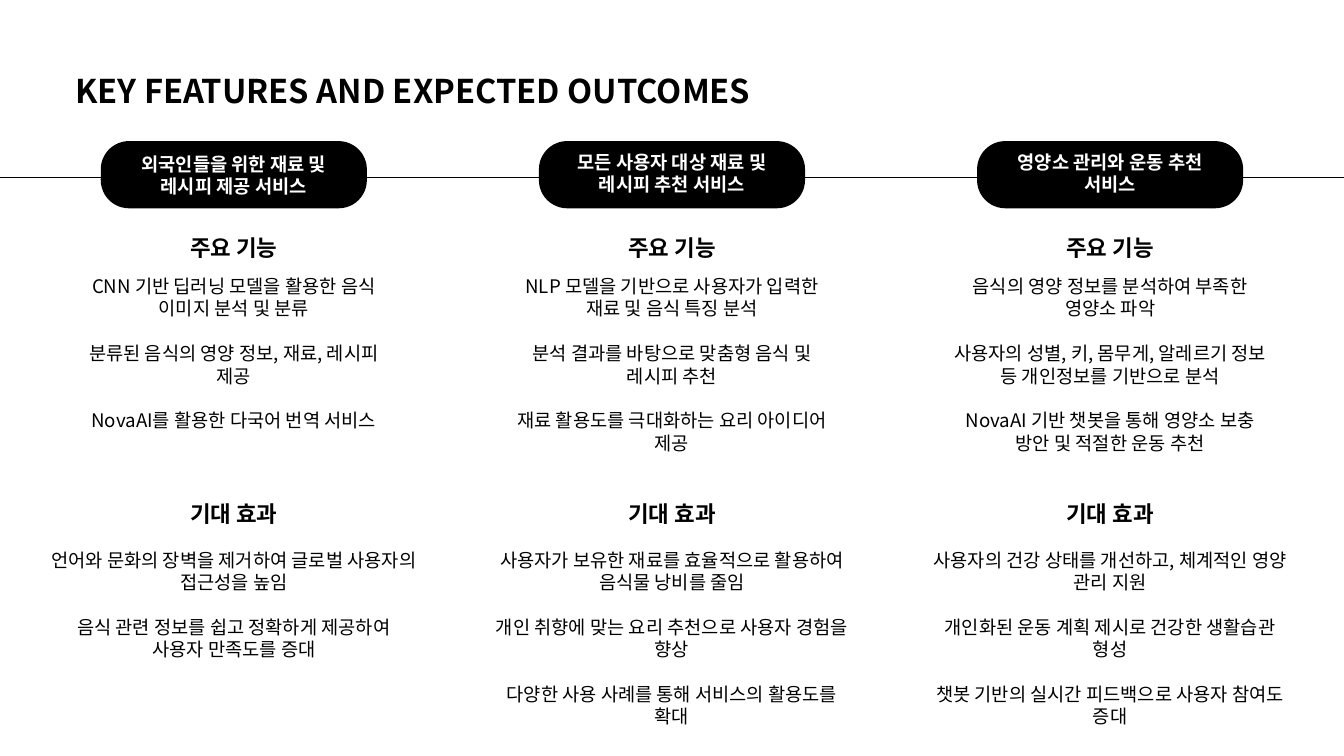
from lxml.etree import SubElement
from pptx import Presentation
from pptx.dml.color import RGBColor
from pptx.enum.shapes import MSO_CONNECTOR, MSO_SHAPE
from pptx.enum.text import MSO_ANCHOR, PP_ALIGN
from pptx.oxml.ns import qn
from pptx.util import Inches, Pt

BLACK = RGBColor(0x00, 0x00, 0x00)
WHITE = RGBColor(0xFF, 0xFF, 0xFF)
FONT = "Noto Sans CJK SC"
LINE_HEIGHT = 1.2

# Column grid: centre of the first column and distance to the next
FIRST_CENTER, COLUMN_STEP = 3.48, 6.52

# Per column: service name, top of its label, main features, expected effects
COLUMNS = [
    (
        "외국인들을 위한 재료 및 레시피 제공 서비스", 2.27,
        ["CNN 기반 딥러닝 모델을 활용한 음식 이미지 분석 및 분류",
         "분류된 음식의 영양 정보, 재료, 레시피 제공",
         "NovaAI를 활용한 다국어 번역 서비스"],
        ["언어와 문화의 장벽을 제거하여 글로벌 사용자의 접근성을 높임",
         "음식 관련 정보를 쉽고 정확하게 제공하여 사용자 만족도를 증대"],
    ),
    (
        "모든 사용자 대상 재료 및 레시피 추천 서비스", 2.24,
        ["NLP 모델을 기반으로 사용자가 입력한 재료 및 음식 특징 분석",
         "분석 결과를 바탕으로 맞춤형 음식 및 레시피 추천",
         "재료 활용도를 극대화하는 요리 아이디어 제공"],
        ["사용자가 보유한 재료를 효율적으로 활용하여 음식물 낭비를 줄임",
         "개인 취향에 맞는 요리 추천으로 사용자 경험을 향상",
         "다양한 사용 사례를 통해 서비스의 활용도를 확대"],
    ),
    (
        "영양소 관리와 운동 추천 서비스", 2.24,
        ["음식의 영양 정보를 분석하여 부족한 영양소 파악",
         "사용자의 성별, 키, 몸무게, 알레르기 정보 등 개인정보를 기반으로 분석",
         "NovaAI 기반 챗봇을 통해 영양소 보충 방안 및 적절한 운동 추천"],
        ["사용자의 건강 상태를 개선하고, 체계적인 영양 관리 지원",
         "개인화된 운동 계획 제시로 건강한 생활습관 형성",
         "챗봇 기반의 실시간 피드백으로 사용자 참여도 증대"],
    ),
]


class SlideBuilder:
    """Holds the slide and draws elements in its style."""

    def __init__(self, slide):
        self.slide = slide

    def rule(self, left, right, top):
        connector = self.slide.shapes.add_connector(
            MSO_CONNECTOR.STRAIGHT,
            Inches(left), Inches(top), Inches(right), Inches(top))
        connector.line.color.rgb = BLACK
        connector.line.width = Pt(0.75)
        SubElement(connector.element.spPr, qn("a:effectLst"))

    def pill(self, center, top, width, height):
        shape = self.slide.shapes.add_shape(
            MSO_SHAPE.ROUNDED_RECTANGLE, Inches(center - width / 2),
            Inches(top), Inches(width), Inches(height))
        shape.adjustments[0] = 0.42
        shape.shadow.inherit = False
        shape.fill.solid()
        shape.fill.fore_color.rgb = BLACK
        shape.line.fill.background()

    def text(self, paragraphs, left, top, width, height, size=20, bold=False,
             color=BLACK, align=PP_ALIGN.CENTER, anchor=MSO_ANCHOR.TOP):
        box = self.slide.shapes.add_textbox(
            Inches(left), Inches(top), Inches(width), Inches(height))
        frame = box.text_frame
        frame.word_wrap = True
        frame.vertical_anchor = anchor
        frame.margin_left = frame.margin_right = 0
        frame.margin_top = frame.margin_bottom = 0
        line_spacing = Pt(size * LINE_HEIGHT)
        for index, content in enumerate(paragraphs):
            paragraph = frame.paragraphs[0] if index == 0 else frame.add_paragraph()
            paragraph.text = content
            paragraph.alignment = align
            paragraph.line_spacing = line_spacing
            if index:
                paragraph.space_before = line_spacing
            font = paragraph.font
            font.name, font.size, font.bold = FONT, Pt(size), bold
            font.color.rgb = color
            # Korean text takes the East Asian typeface
            properties = paragraph._p.pPr.find(qn("a:defRPr"))
            SubElement(properties, qn("a:ea")).set("typeface", FONT)

    def centered_text(self, paragraphs, center, top, width, height, **style):
        self.text(paragraphs, center - width / 2, top, width, height, **style)

    def heading(self, content, center, top):
        self.centered_text([content], center, top, 1.36, 0.4, size=24, bold=True)


def main():
    presentation = Presentation()
    presentation.slide_width = Inches(20)
    presentation.slide_height = Inches(11.25)
    slide = presentation.slides.add_slide(presentation.slide_layouts[6])
    builder = SlideBuilder(slide)

    # Title and the rule behind the service names
    builder.rule(0, 20, 2.64)
    builder.text(["KEY FEATURES AND EXPECTED OUTCOMES"], 1.12, 1.06, 14.54, 0.59,
                 size=35, bold=True, align=PP_ALIGN.LEFT)

    # Service columns
    for index, (service, label_top, features, effects) in enumerate(COLUMNS):
        center = FIRST_CENTER + index * COLUMN_STEP
        builder.pill(center, 2.1, 3.96, 1)
        builder.centered_text([service], center, label_top, 3.01, 0.67, bold=True,
                              color=WHITE, anchor=MSO_ANCHOR.MIDDLE)
        builder.heading("주요 기능", center, 3.48)
        builder.centered_text(features, center, 4.09, 4.81, 2.69)
        builder.heading("기대 효과", center, 7.44)
        builder.centered_text(effects, center, 8.16, 5.45, 2.69)

    presentation.save("out.pptx")


if __name__ == "__main__":
    main()
